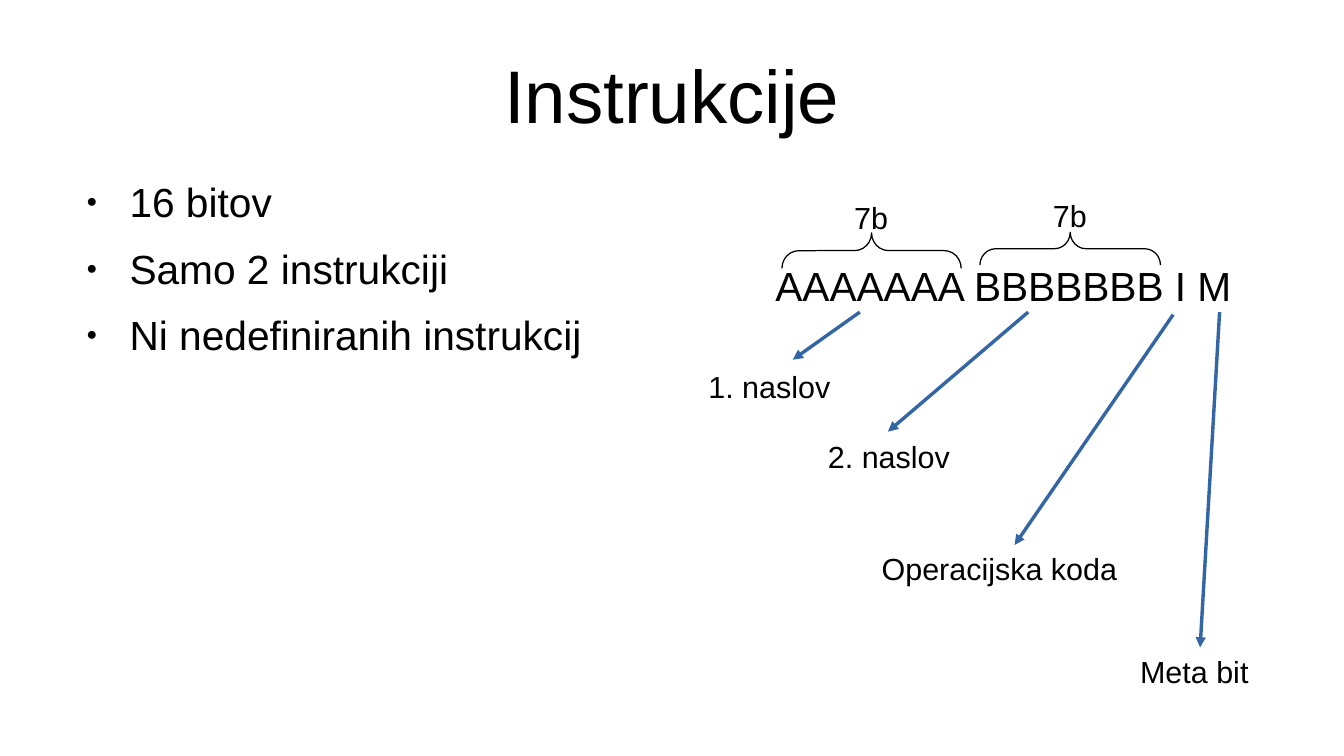
"""Build the slide that explains the layout of a 16-bit instruction."""
from dataclasses import dataclass

import pptx
import pptx.dml.color
import pptx.enum.shapes
import pptx.enum.text
import pptx.oxml
import pptx.oxml.ns
import pptx.util

Pt = pptx.util.Pt
RGB = pptx.dml.color.RGBColor
PP_ALIGN = pptx.enum.text.PP_ALIGN
ANCHOR = pptx.enum.text.MSO_ANCHOR


@dataclass(frozen=True)
class Theme:
    font: str = "Arial"
    ink: str = "000000"
    arrow: str = "3465A4"
    title: float = 44
    body: float = 24
    label: float = 18
    hairline: float = 0


@dataclass(frozen=True)
class Box:
    left: float
    top: float
    width: float
    height: float


@dataclass(frozen=True)
class Brace:
    text: str
    cx: float
    cy: float
    depth: float
    span: float


@dataclass(frozen=True)
class Callout:
    text: str
    box: Box
    start: tuple[float, float]
    end: tuple[float, float]


THEME = Theme()
TITLE_BOX = Box(39.6, 18, 714.24, 74.88)
BULLET_BOX = Box(42.5, 104.4, 714.24, 259.2)
CODE_BOX = Box(450.7, 150.5, 297.4, 33.8)
BULLETS = ["16 bitov", "Samo 2 instrukciji", "Ni nedefiniranih instrukcij"]
BRACES = [
    Brace("7b", 514.5, 148, 20.9, 105.8),
    Brace("7b", 631.8, 146.9, 19.4, 106.6),
]
CALLOUTS = [
    Callout("1. naslov", Box(411.1, 213.8, 141.8, 27.4), (507.6, 184.3), (468, 212.4)),
    Callout("2. naslov", Box(481.7, 254.9, 127.4, 27.4), (607, 184.3), (524.2, 254.9)),
    Callout("Operacijska koda", Box(513.4, 321.1, 167, 47.5), (692.6, 185.8), (599, 321.8)),
    Callout("Meta bit", Box(666, 382.3, 85, 27.4), (720, 184.3), (708.5, 382.3)),
]


def format_text(tf, size: float) -> None:
    for p in tf.paragraphs:
        for r in p.runs:
            r.font.name = THEME.font
            r.font.size = Pt(size)
            r.font.color.rgb = RGB.from_string(THEME.ink)


def clear_insets(tf) -> None:
    tf.margin_left = tf.margin_right = tf.margin_top = tf.margin_bottom = 0


def add_text(s, box: Box, text: str, size: float, wrap: bool = True):
    sp = s.shapes.add_textbox(Pt(box.left), Pt(box.top), Pt(box.width), Pt(box.height))
    tf = sp.text_frame
    tf.word_wrap = wrap
    tf.text = text
    format_text(tf, size)
    return tf


def set_title(s, text: str) -> None:
    sp = s.shapes.title
    sp.left, sp.top = Pt(TITLE_BOX.left), Pt(TITLE_BOX.top)
    sp.width, sp.height = Pt(TITLE_BOX.width), Pt(TITLE_BOX.height)
    tf = sp.text_frame
    tf.text = text
    tf.auto_size = pptx.enum.text.MSO_AUTO_SIZE.NONE
    tf.vertical_anchor = ANCHOR.MIDDLE
    tf.paragraphs[0].alignment = PP_ALIGN.CENTER
    clear_insets(tf)
    format_text(tf, THEME.title)


def add_bullets(s, items: list[str]) -> None:
    tf = add_text(s, BULLET_BOX, "\n".join(items), THEME.body)
    clear_insets(tf)
    ns = pptx.oxml.ns.nsdecls("a")
    for i, p in enumerate(tf.paragraphs):
        pPr = p._p.get_or_add_pPr()
        pPr.set("marL", str(int(Pt(34))))
        pPr.set("indent", str(int(Pt(-25.5))))
        for xml in (
            f'<a:buClr {ns}><a:srgbClr val="{THEME.ink}"/></a:buClr>',
            f'<a:buSzPct {ns} val="45000"/>',
            f'<a:buFont {ns} typeface="{THEME.font}"/>',
            f'<a:buChar {ns} char="●"/>',
        ):
            pPr.append(pptx.oxml.parse_xml(xml))
        if i:
            p.space_before = Pt(10.6)


def add_brace(s, brace: Brace) -> None:
    sp = s.shapes.add_shape(
        pptx.enum.shapes.MSO_SHAPE.LEFT_BRACE,
        Pt(brace.cx - brace.depth / 2), Pt(brace.cy - brace.span / 2),
        Pt(brace.depth), Pt(brace.span),
    )
    sp.rotation = 90
    sp.adjustments[0] = 0.48
    sp.shadow.inherit = False
    sp.fill.background()
    sp.line.color.rgb = RGB.from_string(THEME.ink)
    sp.line.width = Pt(THEME.hairline)
    label = Box(brace.cx - 17.3, brace.cy - 34, 34.6, 27.4)
    add_text(s, label, brace.text, THEME.label, wrap=False)


def add_callout(s, callout: Callout) -> None:
    add_text(s, callout.box, callout.text, THEME.label)
    (x1, y1), (x2, y2) = callout.start, callout.end
    sp = s.shapes.add_connector(
        pptx.enum.shapes.MSO_CONNECTOR.STRAIGHT, Pt(x1), Pt(y1), Pt(x2), Pt(y2)
    )
    sp.line.color.rgb = RGB.from_string(THEME.arrow)
    sp.line.width = Pt(THEME.hairline)
    ns = pptx.oxml.ns.nsdecls("a")
    ln = sp.line._get_or_add_ln()
    ln.append(pptx.oxml.parse_xml(f'<a:tailEnd {ns} type="triangle"/>'))
    sp._element.spPr.append(pptx.oxml.parse_xml(f"<a:effectLst {ns}/>"))


def main() -> None:
    prs = pptx.Presentation()
    prs.slide_width, prs.slide_height = Pt(793.44), Pt(446.4)
    s = prs.slides.add_slide(prs.slide_layouts.get_by_name("Title Only"))
    set_title(s, "Instrukcije")
    add_bullets(s, BULLETS)
    add_text(s, CODE_BOX, "AAAAAAA BBBBBBB I M", THEME.body)
    for brace in BRACES:
        add_brace(s, brace)
    for callout in CALLOUTS:
        add_callout(s, callout)
    prs.save("out.pptx")


if __name__ == "__main__":
    main()
